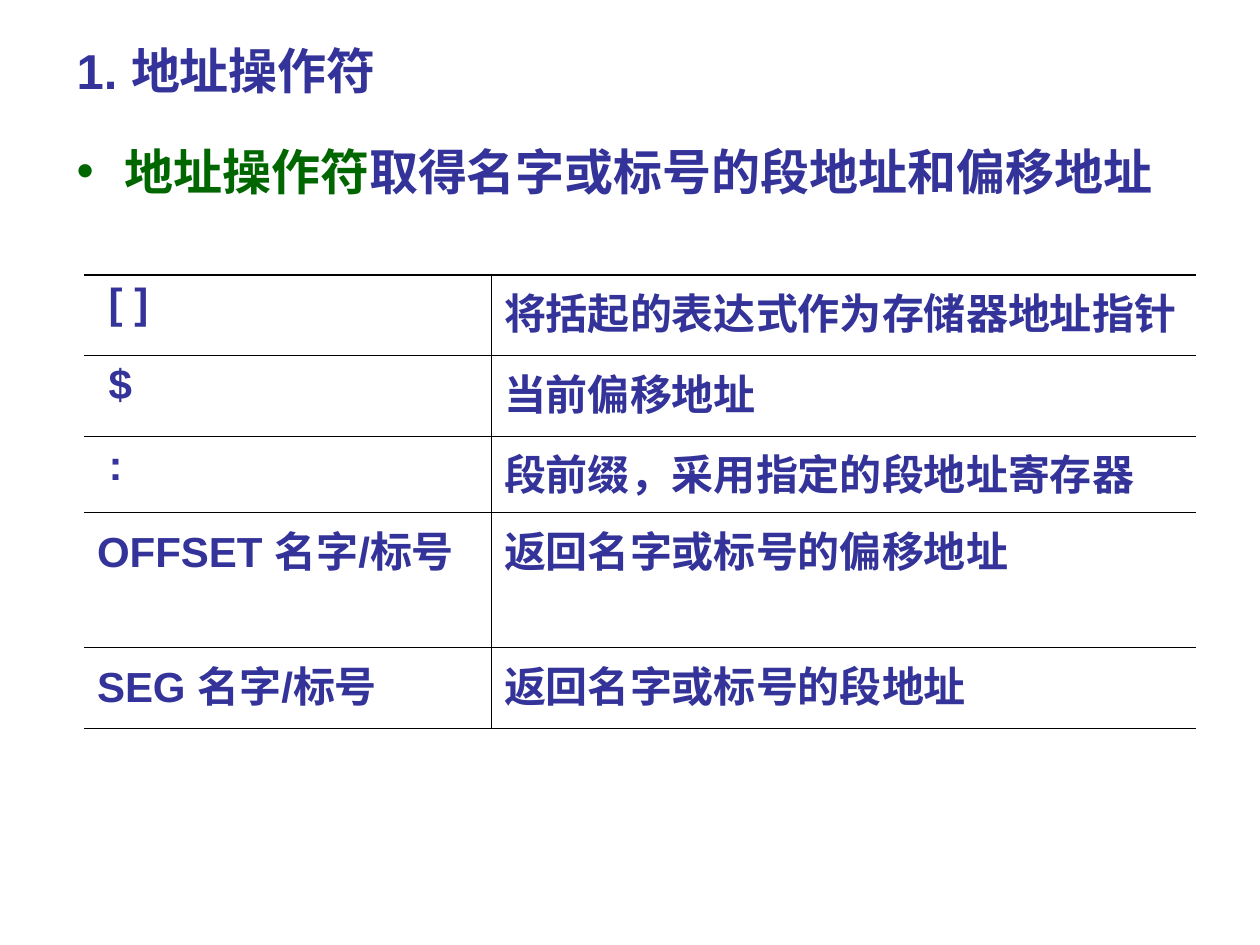
from lxml import etree
from pptx import Presentation
from pptx.dml.color import RGBColor
from pptx.enum import text
from pptx.oxml import ns
from pptx.util import Inches, Pt

COLORS = {"ink": "333399", "accent": "006600", "rule": "000000"}
FONT = {"name": "Arial", "bold": True}
INSETS = {"margin_left": Inches(0.1), "margin_right": Inches(0.1),
          "margin_top": Inches(0.05), "margin_bottom": Inches(0.05)}
THIN, THICK = Pt(0.45), Pt(1.08)
OPERATORS = [
    (" [ ]", "将括起的表达式作为存储器地址指针"),
    (" $", "当前偏移地址"),
    (" :", "段前缀，采用指定的段地址寄存器"),
    ("OFFSET 名字/标号", "返回名字或标号的偏移地址"),
    ("SEG 名字/标号", "返回名字或标号的段地址"),
]
COLUMN_WIDTHS = [3.23, 5.59]
ROW_HEIGHTS = [0.64, 0.64, 0.61, 1.07, 0.64]


def apply_format(target, values):
    """Set each attribute named in values on target."""
    for name, value in values.items():
        setattr(target, name, value)


def add_run(paragraph, words, size, color="ink"):
    """Append a run of bold text to a paragraph."""
    run = paragraph.add_run()
    run.text = words
    apply_format(run.font, {**FONT, "size": Pt(size)})
    run.font.color.rgb = RGBColor.from_string(COLORS[color])


def add_text_box(slide, box, anchor):
    """Add a wrapping text box and return its first paragraph."""
    shape = slide.shapes.add_textbox(*map(Inches, box))
    apply_format(shape.text_frame, {**INSETS, "word_wrap": True, "vertical_anchor": anchor})
    return shape.text_frame.paragraphs[0]


def add_title(slide, box):
    """Place the section heading."""
    paragraph = add_text_box(slide, box, text.MSO_ANCHOR.MIDDLE)
    add_run(paragraph, "1. 地址操作符", 28)


def add_definition(slide, box):
    """Place the bulleted definition with its term highlighted."""
    paragraph = add_text_box(slide, box, text.MSO_ANCHOR.TOP)
    paragraph.alignment = text.PP_ALIGN.JUSTIFY
    properties = paragraph._p.get_or_add_pPr()
    properties.set("marL", str(Inches(0.38)))
    properties.set("indent", str(-Inches(0.38)))
    bullet_color = etree.SubElement(properties, ns.qn("a:buClr"))
    etree.SubElement(bullet_color, ns.qn("a:srgbClr"), val=COLORS["accent"])
    etree.SubElement(properties, ns.qn("a:buFont"), typeface="Arial")
    etree.SubElement(properties, ns.qn("a:buChar"), char="•")
    add_run(paragraph, "地址操作符", 28, "accent")
    add_run(paragraph, "取得名字或标号的段地址和偏移地址", 28)


def set_borders(cell, widths):
    """Draw the left, right, top and bottom borders; None leaves a side open."""
    properties = cell._tc.get_or_add_tcPr()
    for position, (side, width) in enumerate(zip("LRTB", widths)):
        line = etree.Element(ns.qn(f"a:ln{side}"), w=str(width or 0))
        if width:
            fill = etree.SubElement(line, ns.qn("a:solidFill"))
            etree.SubElement(fill, ns.qn("a:srgbClr"), val=COLORS["rule"])
        else:
            etree.SubElement(line, ns.qn("a:noFill"))
        properties.insert(position, line)


def add_operator_table(slide, box):
    """Place the table of operators and their meanings."""
    table = slide.shapes.add_table(len(OPERATORS), 2, *map(Inches, box)).table
    apply_format(table, {"first_row": False, "horz_banding": False})
    for column, width in zip(table.columns, COLUMN_WIDTHS):
        column.width = Inches(width)
    for index, (row, entries) in enumerate(zip(table.rows, OPERATORS)):
        row.height = Inches(ROW_HEIGHTS[index])
        top = THICK if index == 0 else THIN
        for cell, words, sides in zip(row.cells, entries, [(None, THIN), (THIN, None)]):
            apply_format(cell, INSETS)
            cell.fill.background()
            set_borders(cell, (*sides, top, THIN))
            paragraph = cell.text_frame.paragraphs[0]
            paragraph.alignment = text.PP_ALIGN.JUSTIFY
            add_run(paragraph, words, 24)


def main():
    """Build and save the presentation."""
    presentation = Presentation()
    apply_format(presentation, {"slide_width": Inches(10), "slide_height": Inches(7.5)})
    slide = presentation.slides.add_slide(presentation.slide_layouts[6])
    add_title(slide, (0.51, 0.28, 9, 0.55))
    add_definition(slide, (0.51, 1.07, 8.9, 0.71))
    add_operator_table(slide, (0.67, 2.18, sum(COLUMN_WIDTHS), sum(ROW_HEIGHTS)))
    presentation.save("out.pptx")


if __name__ == "__main__":
    main()
